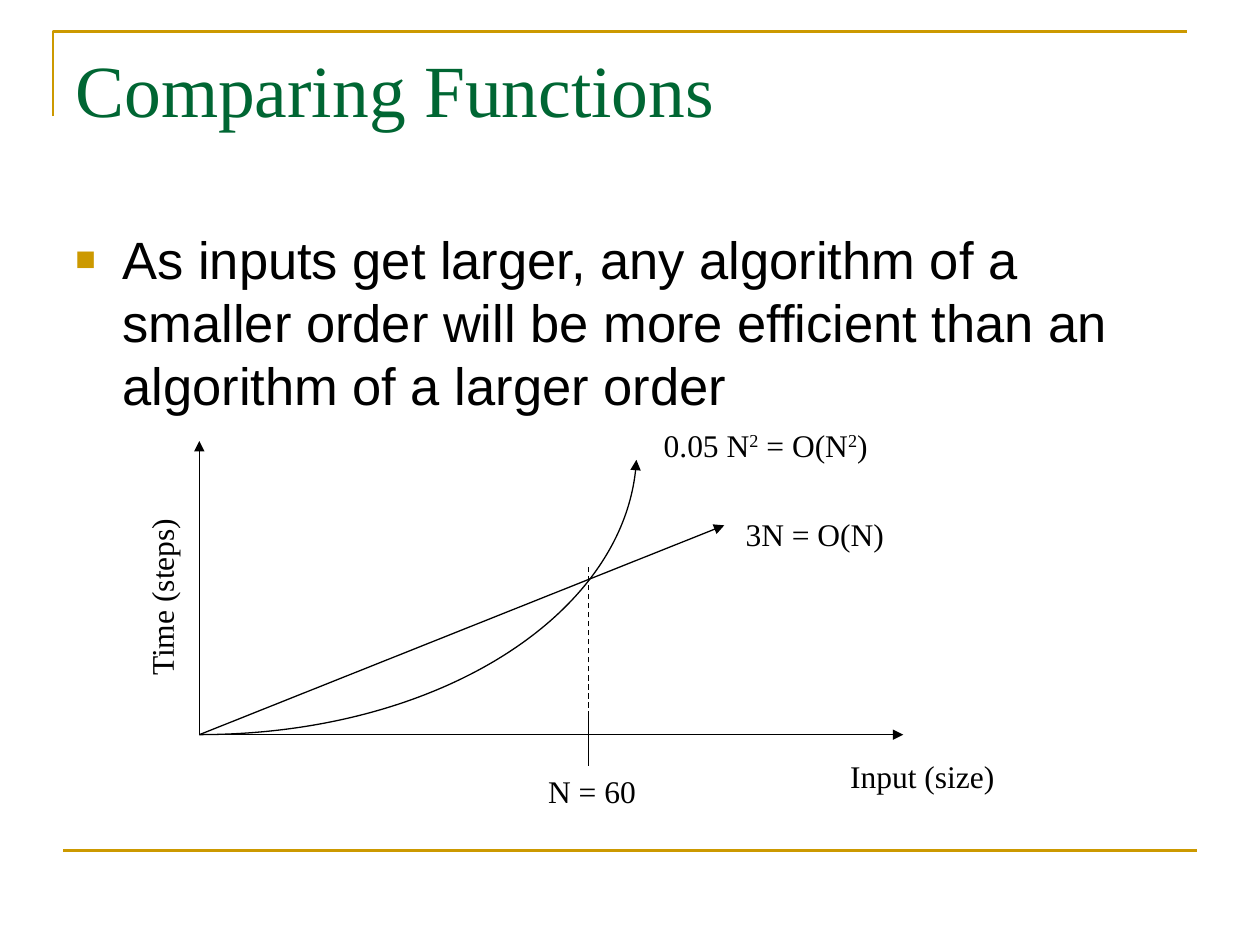
from dataclasses import dataclass

from lxml.etree import SubElement
from pptx import Presentation
from pptx.dml.color import RGBColor
from pptx.enum.dml import MSO_LINE_DASH_STYLE as Dash
from pptx.enum.shapes import MSO_CONNECTOR_TYPE as Connector
from pptx.enum.text import MSO_ANCHOR as Anchor, MSO_AUTO_SIZE as AutoSize
from pptx.oxml.ns import qn
from pptx.util import Cm, Pt


@dataclass(frozen=True)
class Theme:
    gold: str = "CC9900"
    green: str = "006633"
    black: str = "000000"
    serif: str = "Times New Roman"
    sans: str = "Arial"
    title: float = 42
    body: float = 30
    label: float = 18
    rule: float = 1.5
    thin: float = 0.75


@dataclass(frozen=True)
class Box:
    """A region in centimetres."""
    left: float
    top: float
    width: float
    height: float

    def at(self, x, y):
        return Cm(self.left + x), Cm(self.top + y)

    def inner(self, x, y, width, height):
        return Box(self.left + x, self.top + y, width, height)


THEME = Theme()


def add_text(page, box, *parts, size, font=THEME.serif, color=THEME.black,
             wrap=False, rotation=0):
    """Place one paragraph; every second part is superscript."""
    shape = page.shapes.add_textbox(*box.at(0, 0), Cm(box.width), Cm(box.height))
    shape.rotation = rotation
    frame = shape.text_frame
    frame.word_wrap = wrap
    frame.auto_size = AutoSize.NONE if wrap else AutoSize.SHAPE_TO_FIT_TEXT
    frame.vertical_anchor = Anchor.TOP
    para = frame.paragraphs[0]
    for index, part in enumerate(parts):
        span = para.add_run()
        span.text = part
        span.font.name = font
        span.font.size = Pt(size)
        span.font.color.rgb = RGBColor.from_string(color)
        if index % 2:
            span.font._element.set("baseline", "30000")
    return para


def style_line(shape, color, width, arrow=False, dash=None):
    shape.line.color.rgb = RGBColor.from_string(color)
    shape.line.width = Pt(width)
    if dash:
        shape.line.dash_style = dash
    if arrow:
        SubElement(shape.line._get_or_add_ln(), qn("a:tailEnd"), type="triangle")


def add_line(page, box, start, end, color=THEME.black, width=THEME.thin, **style):
    line = page.shapes.add_connector(Connector.STRAIGHT, *box.at(*start), *box.at(*end))
    style_line(line, color, width, **style)
    SubElement(line._element.spPr, qn("a:effectLst"))


def add_outline(page, box, points, color=THEME.black, width=THEME.thin, **style):
    start, *rest = [box.at(*point) for point in points]
    builder = page.shapes.build_freeform(*start)
    builder.add_line_segments(rest, close=False)
    shape = builder.convert_to_shape()
    shape.fill.background()
    shape.shadow.inherit = False
    style_line(shape, color, width, **style)
    return shape


def add_curve(page, box, points, **style):
    """Draw one cubic Bézier from its four points."""
    shape = add_outline(page, box, points, **style)
    segments = list(shape._element.iter(qn("a:lnTo")))
    curve = SubElement(segments[0].getparent(), qn("a:cubicBezTo"))
    for segment in segments:
        curve.append(segment[0])
        segment.getparent().remove(segment)


def add_frame(page, box):
    rule = {"color": THEME.gold, "width": THEME.rule}
    add_outline(page, box, [(0, 1.7), (0, 0), (box.width, 0)], **rule)
    add_line(page, box, (0.2, box.height), (box.width + 0.2, box.height), **rule)


def add_title(page, box):
    add_text(page, box, "Comparing Functions", size=THEME.title,
             color=THEME.green, wrap=True)


def add_body(page, box):
    para = add_text(
        page, box,
        "As inputs get larger, any algorithm of a smaller order will be more "
        "efficient than an algorithm of a larger order",
        size=THEME.body, font=THEME.sans, wrap=True)
    # Gold square bullet with a hanging indent
    props = para._p.get_or_add_pPr()
    indent = Cm(0.95)
    props.set("marL", str(indent))
    props.set("indent", str(-indent))
    SubElement(SubElement(props, qn("a:buClr")), qn("a:srgbClr"), val=THEME.gold)
    SubElement(props, qn("a:buSzPct"), val="65000")
    SubElement(props, qn("a:buFont"), typeface=THEME.sans)
    SubElement(props, qn("a:buChar"), char="■")


def add_graph(page, box):
    origin = (0, box.height)
    crossing = 7.84

    # Axes and the linear function
    for end in [(0, 0), (box.width, box.height), (10.58, 1.7)]:
        add_line(page, box, origin, end, arrow=True)

    # Quadratic function
    add_curve(page, box, [origin, (4.77, box.height), (8.65, 3.45), (8.81, 0.38)],
              arrow=True)

    # Crossing point
    add_line(page, box, (crossing, 5.51), (crossing, 6.55))
    add_line(page, box, (crossing, box.height), (crossing, 2.54), dash=Dash.DASH)

    # Labels: left, top, width, parts, rotation
    labels = [
        (-2.62, 2.62, 3.71, ["Time (steps)"], 270),
        (12.87, 6.25, 3.43, ["Input (size)"], 0),
        (10.76, 1.37, 3.3, ["3N = O(N)"], 0),
        (9.11, -0.43, 4.67, ["0.05 N", "2", " = O(N", "2", ")"], 0),
        (6.78, 6.55, 2.29, ["N = 60"], 0),
    ]
    for left, top, width, parts, rotation in labels:
        add_text(page, box.inner(left, top, width, 1.02), *parts,
                 size=THEME.label, rotation=rotation)


def main():
    deck = Presentation()
    deck.slide_width, deck.slide_height = Cm(25.4), Cm(19.05)
    page = deck.slides.add_slide(deck.slide_layouts[6])
    add_frame(page, Box(1.07, 0.64, 22.86, 16.51))
    add_title(page, Box(1.27, 0.76, 22.86, 3.18))
    add_body(page, Box(1.27, 4.45, 22.86, 12.57))
    add_graph(page, Box(4.02, 8.89, 14.19, 5.92))
    deck.save("out.pptx")


if __name__ == "__main__":
    main()
